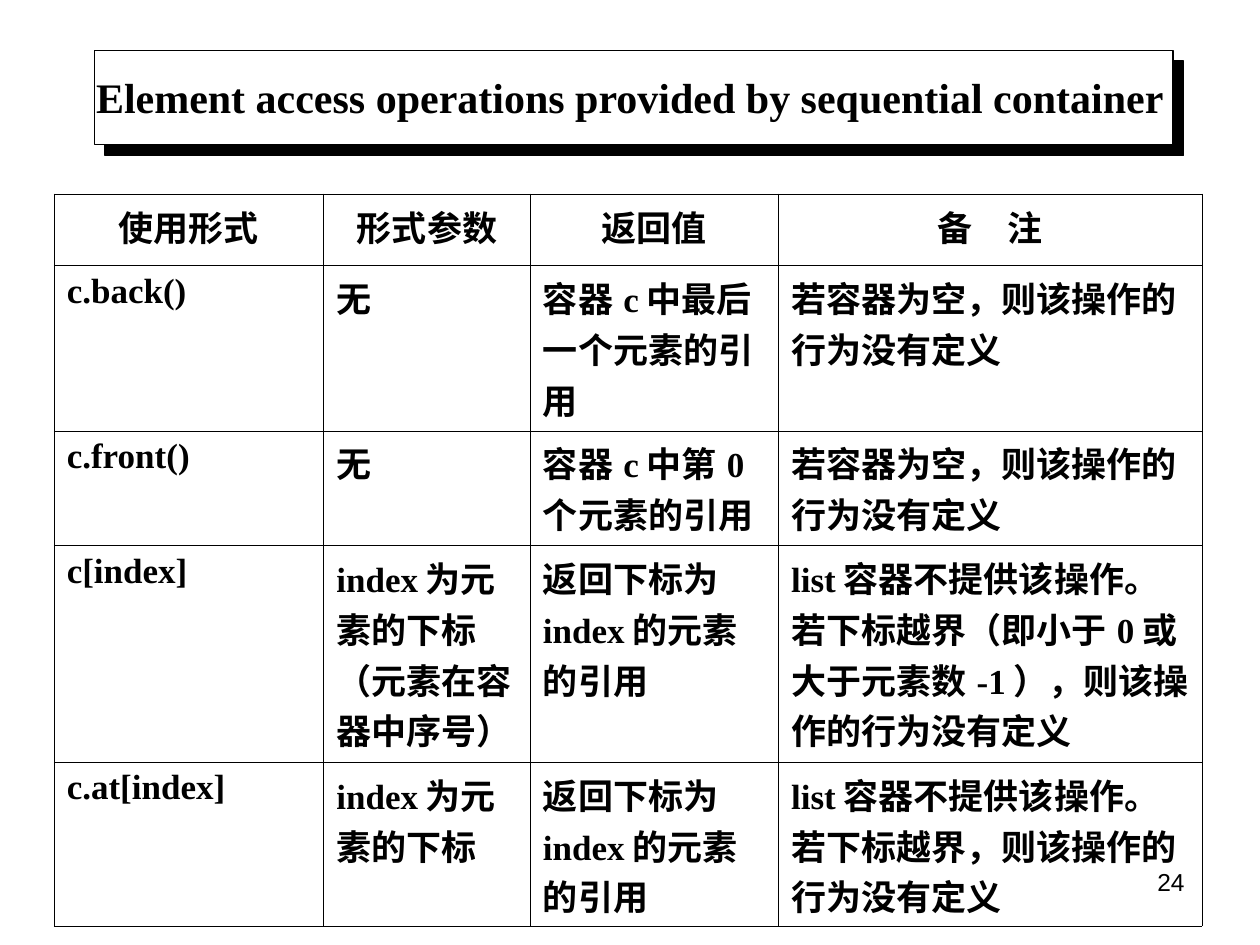
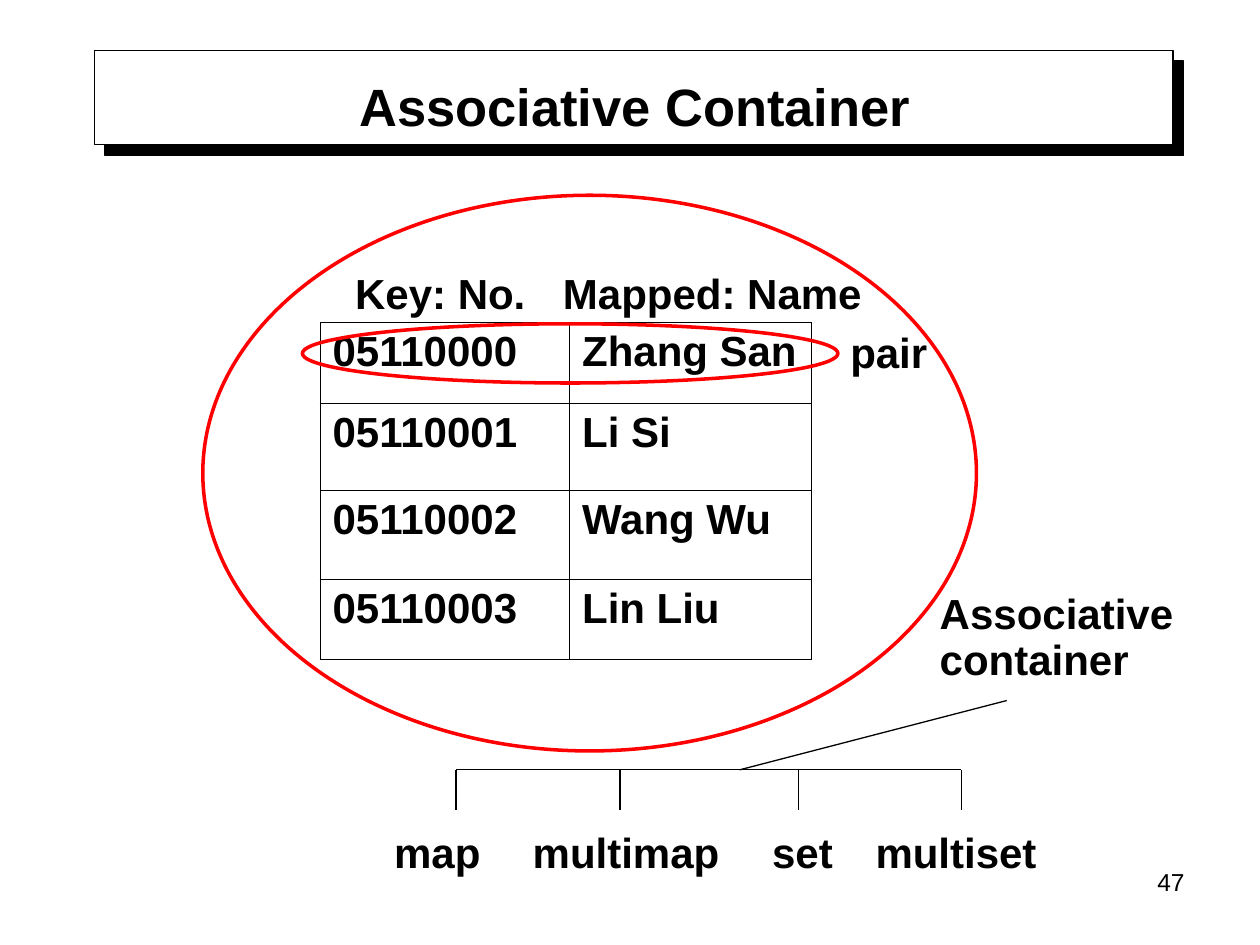
"""Build two slides about C++ sequential and associative containers."""
from dataclasses import dataclass

import lxml.etree
import pptx
import pptx.dml.color
import pptx.enum.shapes
import pptx.enum.text
import pptx.oxml
import pptx.oxml.ns
import pptx.util

Inches = pptx.util.Inches
ALIGN = pptx.enum.text.PP_ALIGN
ANCHOR = pptx.enum.text.MSO_ANCHOR
AUTO_SIZE = pptx.enum.text.MSO_AUTO_SIZE
SHAPE = pptx.enum.shapes.MSO_SHAPE


@dataclass(frozen=True)
class Theme:
    """Colours, fonts, type sizes and line widths of the deck."""
    ink: str = "000000"
    paper: str = "FFFFFF"
    accent: str = "FF0000"
    sans: str = "Arial"
    serif: str = "Times New Roman"
    title: int = 30
    long_title: int = 24
    label: int = 24
    cell: int = 20
    number: int = 14
    rule: float = 0.75
    ring: float = 2
    border: float = 0.45


@dataclass(frozen=True)
class Box:
    """A region in inches."""
    left: float
    top: float
    width: float
    height: float

    def inside(self, left, top, width, height):
        """Return a box placed relative to this one."""
        return Box(self.left + left, self.top + top, width, height)

    def lengths(self):
        """Return left, top, width and height as lengths."""
        return [Inches(n) for n in (self.left, self.top, self.width, self.height)]


THEME = Theme()
BAND = Box(0.75, 0.4, 8.56, 0.75)
NUMBER = Box(7.17, 6.83, 2.33, 0.52)

ACCESS_ROWS = [
    ["使用形式", "形式参数", "返回值", "备　注"],
    ["c.back()", "无", "容器c中最后一个元素的引用", "若容器为空，则该操作的行为没有定义"],
    ["c.front()", "无", "容器c中第0个元素的引用", "若容器为空，则该操作的行为没有定义"],
    ["c[index]", "index为元素的下标（元素在容器中序号）", "返回下标为index的元素的引用",
     "list容器不提供该操作。若下标越界（即小于0或大于元素数-1），则该操作的行为没有定义"],
    ["c.at[index]", "index为元素的下标", "返回下标为index的元素的引用",
     "list容器不提供该操作。若下标越界，则该操作的行为没有定义"],
]
STUDENTS = [
    ["05110000", "Zhang San"],
    ["05110001", "Li Si"],
    ["05110002", "Wang Wu"],
    ["05110003", "Lin Liu"],
]


def rgb(colour):
    """Return the colour object of a hex string."""
    return pptx.dml.color.RGBColor.from_string(colour)


def write_text(frame, text, size=THEME.label, font=THEME.sans, bold=True,
               align=ALIGN.LEFT, anchor=ANCHOR.MIDDLE):
    """Write one formatted paragraph into a text frame."""
    frame.text = text
    frame.vertical_anchor = anchor
    paragraph = frame.paragraphs[0]
    paragraph.alignment = align
    run_font = paragraph.runs[0].font
    run_font.size = pptx.util.Pt(size)
    run_font.name = font
    run_font.bold = bold
    run_font.color.rgb = rgb(THEME.ink)


def add_label(shapes, box, text, **text_format):
    """Add a one-line text box."""
    frame = shapes.add_textbox(*box.lengths()).text_frame
    frame.word_wrap = False
    frame.auto_size = AUTO_SIZE.SHAPE_TO_FIT_TEXT
    write_text(frame, text, **text_format)


def add_line(shapes, start, end):
    """Add a thin straight line between two points."""
    points = [Inches(n) for n in (*start, *end)]
    line = shapes.add_connector(pptx.enum.shapes.MSO_CONNECTOR.STRAIGHT, *points)
    line.line.color.rgb = rgb(THEME.ink)
    line.line.width = pptx.util.Pt(THEME.rule)
    lxml.etree.SubElement(line._element.spPr, pptx.oxml.ns.qn("a:effectLst"))


def add_ring(shapes, box):
    """Add an unfilled accent ellipse."""
    ring = shapes.add_shape(SHAPE.OVAL, *box.lengths())
    ring.shadow.inherit = False
    ring.fill.background()
    ring.line.color.rgb = rgb(THEME.accent)
    ring.line.width = pptx.util.Pt(THEME.ring)


def add_title_band(slide, box):
    """Put the white band with its hard shadow on the layout of a slide."""
    band = slide.shapes.add_shape(SHAPE.RECTANGLE, *box.lengths())
    band.shadow.inherit = False
    band.fill.solid()
    band.fill.fore_color.rgb = rgb(THEME.paper)
    band.line.color.rgb = rgb(THEME.ink)
    band.line.width = pptx.util.Pt(THEME.rule)
    effects = band._element.spPr.find(pptx.oxml.ns.qn("a:effectLst"))
    effects.append(pptx.oxml.parse_xml(
        f'<a:outerShdw {pptx.oxml.ns.nsdecls("a")} dist="{pptx.util.Pt(8.5)}" '
        f'dir="2700000" algn="ctr" rotWithShape="0"><a:srgbClr val="{THEME.ink}"/>'
        '</a:outerShdw>'))
    slide.slide_layout.shapes._spTree.insert(2, band._element)


def add_titled_slide(deck, title, box, number, **title_format):
    """Add a slide with its title and slide number."""
    slide = deck.slides.add_slide(deck.slide_layouts[5])
    heading = slide.shapes.title
    heading.left, heading.top, heading.width, heading.height = box.lengths()
    heading.text_frame.auto_size = AUTO_SIZE.NONE
    write_text(heading.text_frame, title, align=ALIGN.CENTER, **title_format)
    frame = slide.shapes.add_textbox(*NUMBER.lengths()).text_frame
    frame.word_wrap = True
    write_text(frame, number, size=THEME.number, bold=False,
               align=ALIGN.RIGHT, anchor=ANCHOR.TOP)
    return slide


def set_borders(cell):
    """Draw the left, right, top and bottom borders of a cell."""
    properties = cell._tc.get_or_add_tcPr()
    width = pptx.util.Pt(THEME.border)
    for index, side in enumerate("LRTB"):
        properties.insert(index, pptx.oxml.parse_xml(
            f'<a:ln{side} {pptx.oxml.ns.nsdecls("a")} w="{width}">'
            f'<a:solidFill><a:srgbClr val="{THEME.ink}"/></a:solidFill></a:ln{side}>'))


def add_grid(slide, box, rows, column_widths, row_heights, header=False,
             **text_format):
    """Add an unfilled table with ruled cells."""
    grid = slide.shapes.add_table(len(rows), len(rows[0]), *box.lengths()).table
    grid.first_row = grid.horz_banding = False
    for column, width in zip(grid.columns, column_widths):
        column.width = Inches(width)
    for row, height in zip(grid.rows, row_heights):
        row.height = Inches(height)
    for r, values in enumerate(rows):
        for c, value in enumerate(values):
            cell = grid.cell(r, c)
            cell.fill.background()
            align = ALIGN.CENTER if header and r == 0 else ALIGN.LEFT
            write_text(cell.text_frame, value, align=align, **text_format)
            cell.vertical_anchor = ANCHOR.TOP
            set_borders(cell)


def add_student_map(slide, box):
    """Draw the ringed key and name table with its labels."""
    add_grid(slide, box.inside(0.93, 1.01, 3.9, 2.67), STUDENTS,
             [1.98, 1.92], [0.64, 0.69, 0.71, 0.63])
    labels = [
        ("Key: No.", 1.11, 0.52, 1.64),
        ("Mapped: Name", 2.76, 0.52, 2.66),
        ("pair", 5.04, 0.99, 0.9),
        ("Associative", 5.75, 3.06, 2.05),
        ("container", 5.75, 3.43, 1.7),
    ]
    for text, left, top, width in labels:
        add_label(slide.shapes, box.inside(left, top, width, 0.5), text)
    add_ring(slide.shapes, box.inside(0.79, 1.02, 4.25, 0.47))
    add_ring(slide.shapes, box)


def add_container_tree(slide, box):
    """Draw the bracket that splits associative containers into four kinds."""
    shapes = slide.shapes.add_group_shape().shapes
    kinds = [
        ("map", 0.59, 0, 0.98),
        ("multimap", 1.89, 1.1, 1.77),
        ("set", 3.31, 3, 0.68),
        ("multiset", 4.6, 3.82, 1.48),
    ]
    bar = box.top + 0.55
    add_line(shapes, (box.left + 4.96, box.top), (box.left + 2.84, bar))
    add_line(shapes, (box.left + kinds[0][1], bar), (box.left + kinds[-1][1], bar))
    for name, branch, left, width in kinds:
        x = box.left + branch
        add_line(shapes, (x, bar), (x, bar + 0.32))
        add_label(shapes, box.inside(left, 0.95, width, 0.5), name)


def build_access_slide(deck):
    """Build the slide on element access operations."""
    slide = add_titled_slide(
        deck, "Element access operations provided by sequential container",
        Box(0.55, 0.45, 8.9, 0.63), "24", size=THEME.long_title, font=THEME.serif)
    add_title_band(slide, BAND)
    add_grid(slide, Box(0.43, 1.54, 9.11, 5.81), ACCESS_ROWS,
             [2.14, 1.64, 1.97, 3.36], [0.57, 1.31, 0.91, 1.72, 1.3],
             header=True, size=THEME.cell, font=THEME.serif)


def build_associative_slide(deck):
    """Build the slide on associative containers."""
    slide = add_titled_slide(deck, "Associative Container",
                             Box(0.75, 0.52, 8.58, 0.63), "47", size=THEME.title)
    add_student_map(slide, Box(1.61, 1.55, 6.14, 4.41))
    add_container_tree(slide, Box(3.03, 5.56, 5.3, 1.45))


def main():
    """Build and save the deck."""
    deck = pptx.Presentation()
    deck.slide_width, deck.slide_height = Inches(10), Inches(7.5)
    build_access_slide(deck)
    build_associative_slide(deck)
    deck.save("out.pptx")


if __name__ == "__main__":
    main()
